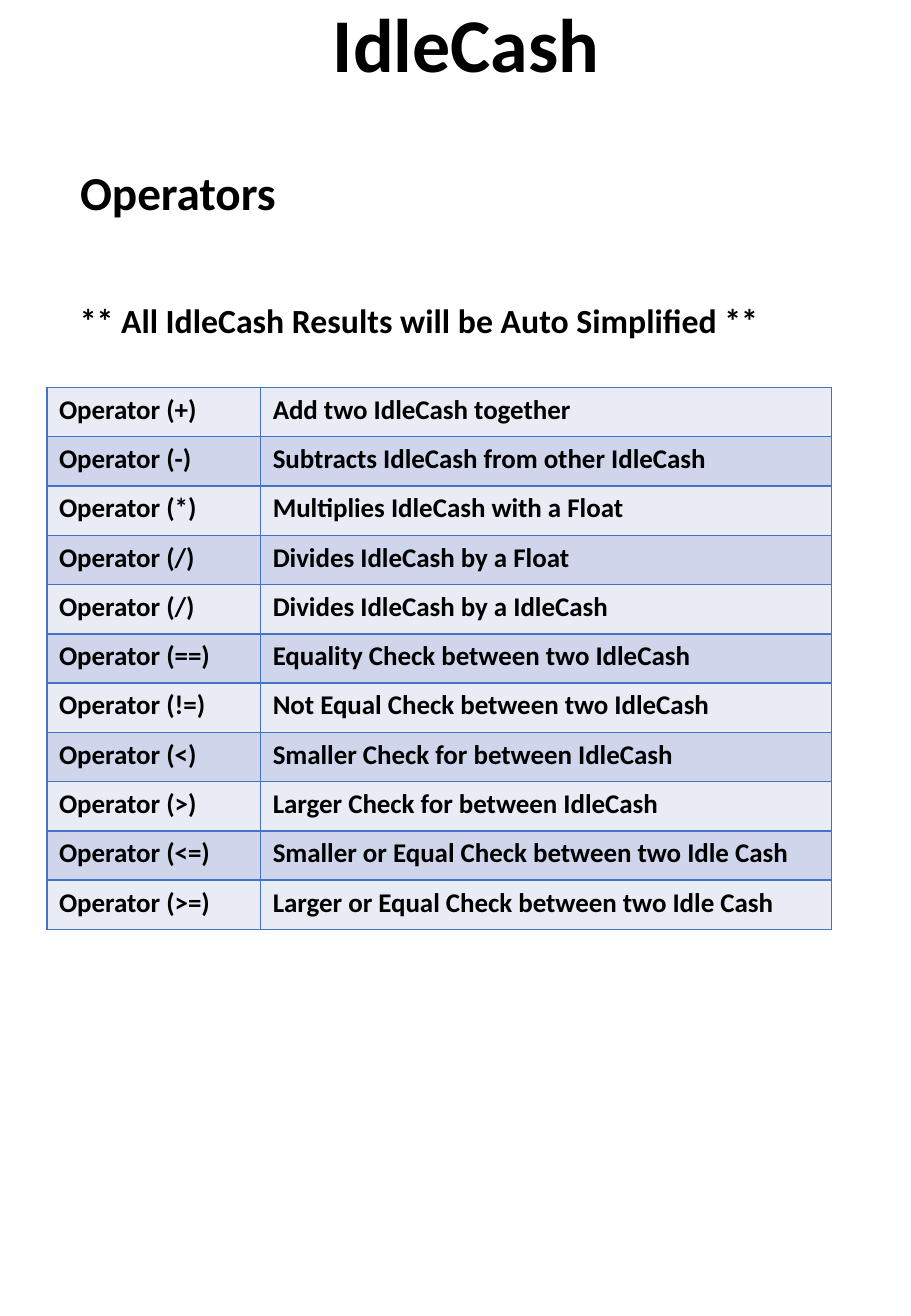
"""Build the IdleCash operators reference page."""
import pptx
import pptx.dml.color
import pptx.enum.text
import pptx.oxml
import pptx.oxml.ns
import pptx.util

Cm = pptx.util.Cm
Pt = pptx.util.Pt
RGBColor = pptx.dml.color.RGBColor
Align = pptx.enum.text.PP_ALIGN

BLACK = RGBColor(0x00, 0x00, 0x00)
BORDER = RGBColor(0x44, 0x72, 0xC4)
BANDS = (RGBColor(0xE9, 0xEB, 0xF5), RGBColor(0xCF, 0xD5, 0xEA))

OPERATORS = [
    ("+", "Add two IdleCash together"),
    ("-", "Subtracts IdleCash from other IdleCash"),
    ("*", "Multiplies IdleCash with a Float"),
    ("/", "Divides IdleCash by a Float"),
    ("/", "Divides IdleCash by a IdleCash"),
    ("==", "Equality Check between two IdleCash"),
    ("!=", "Not Equal Check between two IdleCash"),
    ("<", "Smaller Check for between IdleCash"),
    (">", "Larger Check for between IdleCash"),
    ("<=", "Smaller or Equal Check between two Idle Cash"),
    (">=", "Larger or Equal Check between two Idle Cash"),
]


def write_text(frame, text, size=16, align=Align.LEFT, spacing=1.0, font="Calibri", color=BLACK):
    para = frame.paragraphs[0]
    para.alignment = align
    para.line_spacing = spacing
    span = para.add_run()
    span.text = text
    span.font.name = font
    span.font.size = Pt(size)
    span.font.bold = True
    span.font.color.rgb = color


class Page:
    def __init__(self, deck):
        self.slide = deck.slides.add_slide(deck.slide_layouts[5])
        self.spacing = 0.9
        self.border_width = Pt(1)

    def fill_box(self, box, text, **style):
        frame = box.text_frame
        frame.word_wrap = True
        frame.auto_size = pptx.enum.text.MSO_AUTO_SIZE.NONE
        frame.vertical_anchor = pptx.enum.text.MSO_ANCHOR.BOTTOM
        write_text(frame, text, spacing=self.spacing, **style)

    def title(self, text, left, top, width, height, **style):
        box = self.slide.shapes.title
        box.left, box.top, box.width, box.height = left, top, width, height
        self.fill_box(box, text, **style)

    def label(self, text, left, top, width, height, **style):
        box = self.slide.shapes.add_textbox(left, top, width, height)
        self.fill_box(box, text, **style)

    def outline(self, cell):
        properties = cell._tc.get_or_add_tcPr()
        for side in ("lnL", "lnR", "lnT", "lnB"):
            properties.append(pptx.oxml.parse_xml(
                f'<a:{side} {pptx.oxml.ns.nsdecls("a")} w="{self.border_width}">'
                f'<a:solidFill><a:srgbClr val="{BORDER}"/></a:solidFill></a:{side}>'))

    def table(self, rows, left, top, widths, row_height):
        frame = self.slide.shapes.add_table(
            len(rows), len(widths), left, top, sum(widths), row_height * len(rows))
        table = frame.table
        table.first_row = table.horz_banding = False
        for column, width in zip(table.columns, widths):
            column.width = width
        for index, values in enumerate(rows):
            for cell, value in zip(table.rows[index].cells, values):
                self.outline(cell)
                cell.fill.solid()
                cell.fill.fore_color.rgb = BANDS[index % 2]
                write_text(cell.text_frame, value)


def main():
    deck = pptx.Presentation()
    deck.slide_width, deck.slide_height = Cm(19.05), Cm(27.51)
    page = Page(deck)
    page.label("IdleCash", Cm(1.65), Cm(-0.15), Cm(16.2), Cm(2.13), size=45, align=Align.CENTER)
    page.title("Operators", Cm(1.42), Cm(3.12), Cm(16.2), Cm(1.63), size=28)
    rows = [(f"Operator ({sign})", meaning) for sign, meaning in OPERATORS]
    page.table(rows, Cm(0.98), Cm(8.1), (Cm(4.47), Cm(11.94)), Cm(1.03))
    page.label("** All IdleCash Results will be Auto Simplified **",
               Cm(1.42), Cm(5.61), Cm(15.52), Cm(1.63), size=20)
    deck.save("out.pptx")


if __name__ == "__main__":
    main()
